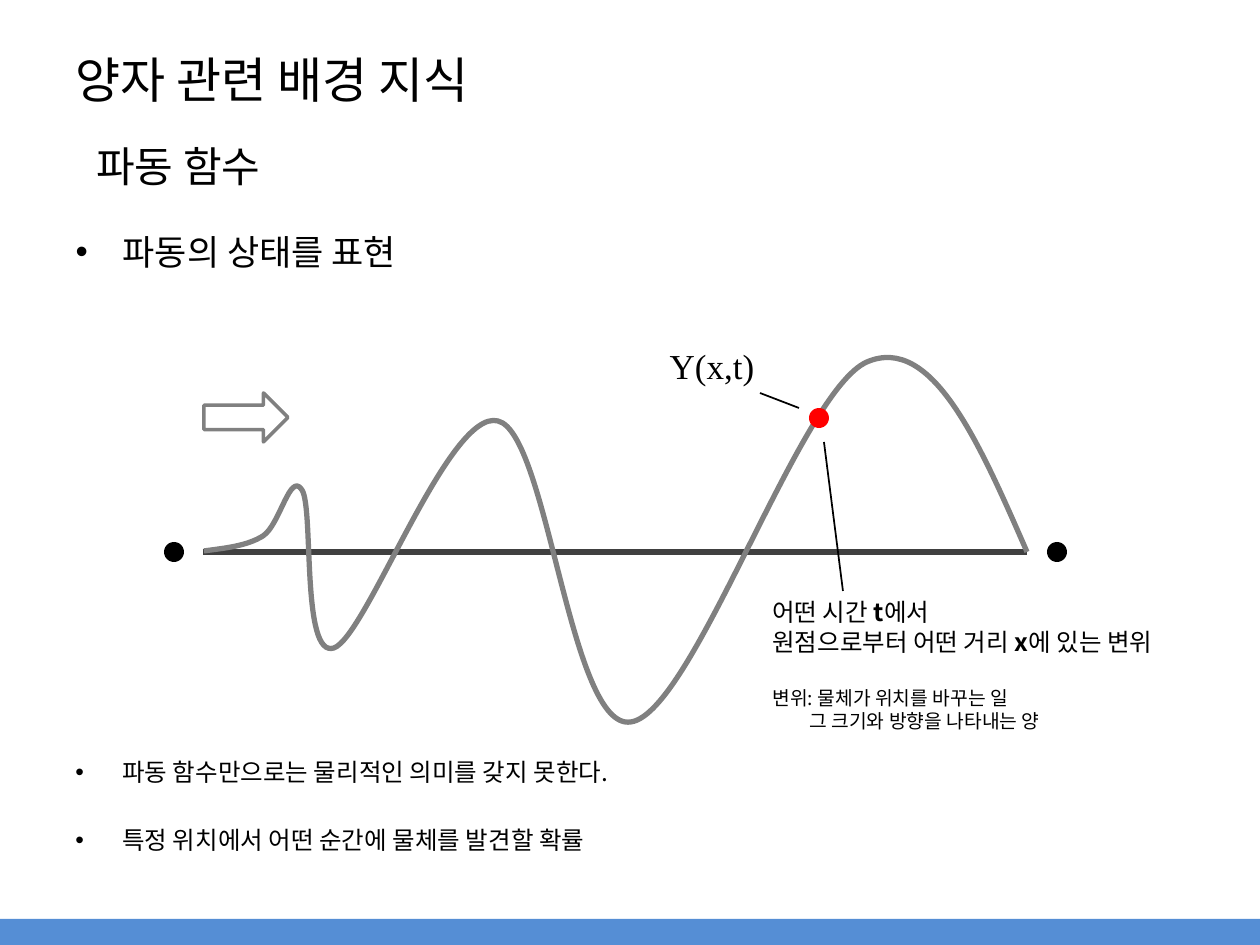
from dataclasses import dataclass

from lxml.etree import SubElement
from pptx import Presentation
from pptx.dml.color import RGBColor
from pptx.enum.shapes import MSO_CONNECTOR, MSO_SHAPE
from pptx.enum.text import MSO_ANCHOR, MSO_AUTO_SIZE, PP_ALIGN
from pptx.oxml.ns import qn
from pptx.util import Emu, Pt


@dataclass(frozen=True)
class Theme:
    korean: str = "Noto Sans CJK KR"
    formula: str = "Times New Roman"
    black: RGBColor = RGBColor(0x00, 0x00, 0x00)
    axis: RGBColor = RGBColor(0x40, 0x40, 0x40)
    wave: RGBColor = RGBColor(0x80, 0x80, 0x80)
    point: RGBColor = RGBColor(0xFF, 0x00, 0x00)
    bar: RGBColor = RGBColor(0x55, 0x8E, 0xD5)
    title: int = 28
    subtitle: int = 24
    body: int = 20
    note: int = 14
    small: int = 11


theme = Theme()


def px(*lengths):
    """Turn lengths at 126 px to the inch into EMU."""
    return [Emu(round(length * 914400 / 126)) for length in lengths]


def style(paragraph, size, face=theme.korean, before=0, indent=0, bullet=False):
    """Set the spacing, indent, bullet and font of one paragraph."""
    paragraph.space_before = Pt(before)
    properties = paragraph._p.get_or_add_pPr()
    if indent:
        margin = px(indent)[0]
        properties.set("marL", str(margin))
        properties.set("indent", str(-margin if bullet else 0))
    if bullet:
        SubElement(properties, qn("a:buFont")).set("typeface", "Arial")
        SubElement(properties, qn("a:buChar")).set("char", "•")
    font = paragraph.font
    font.size = Pt(size)
    font.color.rgb = theme.black
    font.name = face
    SubElement(properties.find(qn("a:defRPr")), qn("a:ea")).set("typeface", face)


presentation = Presentation()
presentation.slide_width, presentation.slide_height = px(1260, 945)
slide = presentation.slides.add_slide(presentation.slide_layouts[1])
shapes = slide.shapes

# Title and first bullet
title, body = shapes.title, slide.placeholders[1]
for holder, box, text in [
    (title, (63, 0, 1134, 157), "양자 관련 배경 지식"),
    (body, (63, 224, 1134, 79), "파동의 상태를 표현"),
]:
    holder.left, holder.top, holder.width, holder.height = px(*box)
    holder.text_frame.text = text
    holder.text_frame.auto_size = MSO_AUTO_SIZE.NONE
title.text_frame.vertical_anchor = MSO_ANCHOR.MIDDLE
title.text_frame.paragraphs[0].alignment = PP_ALIGN.LEFT
style(title.text_frame.paragraphs[0], theme.title)
style(body.text_frame.paragraphs[0], theme.body, indent=47, bullet=True)

# Axis and pointer lines
for start, end, color, width in [
    ((203, 552), (1027, 552), theme.axis, 3),
    ((799, 408), (760, 393), theme.black, 1),
    ((843, 591), (824, 442), theme.black, 1),
]:
    line = shapes.add_connector(MSO_CONNECTOR.STRAIGHT, *px(*start, *end))
    line.line.color.rgb = color
    line.line.width = Pt(width)
    SubElement(line._element.spPr, qn("a:effectLst"))

# Wave: cubic Bezier segments, each (control, control, end)
wave_start = (204, 551)
wave_segments = [
    ((226, 548), (247, 546), (263, 536)),
    ((280, 525), (290, 471), (302, 490)),
    ((314, 508), (301, 659), (334, 648)),
    ((367, 636), (449, 408), (498, 421)),
    ((548, 433), (570, 732), (631, 722)),
    ((693, 713), (800, 391), (867, 362)),
    ((932, 334), (979, 442), (1027, 552)),
]
wave_left, wave_top, wave_width, wave_height = 204, 358, 823, 365
builder = shapes.build_freeform(*px(*wave_start))
builder.add_line_segments([px(*end) for *_, end in wave_segments], close=False)
wave = builder.convert_to_shape()

# Turn its straight segments into curves within the wave's true bounds
wave.left, wave.top, wave.width, wave.height = px(
    wave_left, wave_top, wave_width, wave_height)
outline_path = next(wave._element.iter(qn("a:path")))
outline_path.set("w", str(wave.width))
outline_path.set("h", str(wave.height))
for command in list(outline_path):
    outline_path.remove(command)
for name, points in [("a:moveTo", [wave_start])] + [
    ("a:cubicBezTo", segment) for segment in wave_segments
]:
    command = SubElement(outline_path, qn(name))
    for x, y in points:
        local_x, local_y = px(x - wave_left, y - wave_top)
        SubElement(command, qn("a:pt"), x=str(local_x), y=str(local_y))

# Direction arrow, outlined like the wave
arrow = shapes.add_shape(MSO_SHAPE.RIGHT_ARROW, *px(204, 393, 84, 49))
for outline, width in [(wave, 3), (arrow, 2)]:
    outline.shadow.inherit = False
    outline.fill.background()
    outline.line.color.rgb = theme.wave
    outline.line.width = Pt(width)

# Footer bar, end points and the marked point
for kind, box, color in [
    (MSO_SHAPE.RECTANGLE, (0, 919, 1260, 26), theme.bar),
    (MSO_SHAPE.OVAL, (164, 542, 20, 20), theme.black),
    (MSO_SHAPE.OVAL, (1047, 542, 20, 20), theme.black),
    (MSO_SHAPE.OVAL, (809, 408, 20, 20), theme.point),
]:
    shape = shapes.add_shape(kind, *px(*box))
    shape.shadow.inherit = False
    shape.fill.solid()
    shape.fill.fore_color.rgb = color
    shape.line.fill.background()

# Text boxes: each paragraph is its runs and its style; t and x are bold
bullet_style = dict(size=theme.note, indent=47, bullet=True)
for box, paragraphs in [
    ((84, 134, 307, 63), [(["파동 함수"], dict(size=theme.subtitle))]),
    ((640, 338, 144, 55), [(["Y(x,t)"], dict(size=theme.body, face=theme.formula))]),
    ((760, 591, 452, 149), [
        (["어떤 시간 ", "t", "에서"], dict(size=theme.note)),
        (["원점으로부터 어떤 거리 ", "x", "에 있는 변위"], dict(size=theme.note)),
        (["변위: 물체가 위치를 바꾸는 일"], dict(size=theme.small, before=17)),
        (["그 크기와 방향을 나타내는 양"], dict(size=theme.small, indent=37)),
    ]),
    ((63, 751, 1134, 129), [
        (["파동 함수만으로는 물리적인 의미를 갖지 못한다."], bullet_style),
        (["특정 위치에서 어떤 순간에 물체를 발견할 확률"], dict(bullet_style, before=22)),
    ]),
]:
    frame = shapes.add_textbox(*px(*box)).text_frame
    frame.word_wrap = True
    for index, (runs, settings) in enumerate(paragraphs):
        paragraph = frame.add_paragraph() if index else frame.paragraphs[0]
        style(paragraph, **settings)
        if settings.get("face") == theme.formula:
            paragraph.alignment = PP_ALIGN.CENTER
        for text in runs:
            run = paragraph.add_run()
            run.text = text
            if text in ("t", "x"):
                run.font.bold = True

presentation.save("out.pptx")
